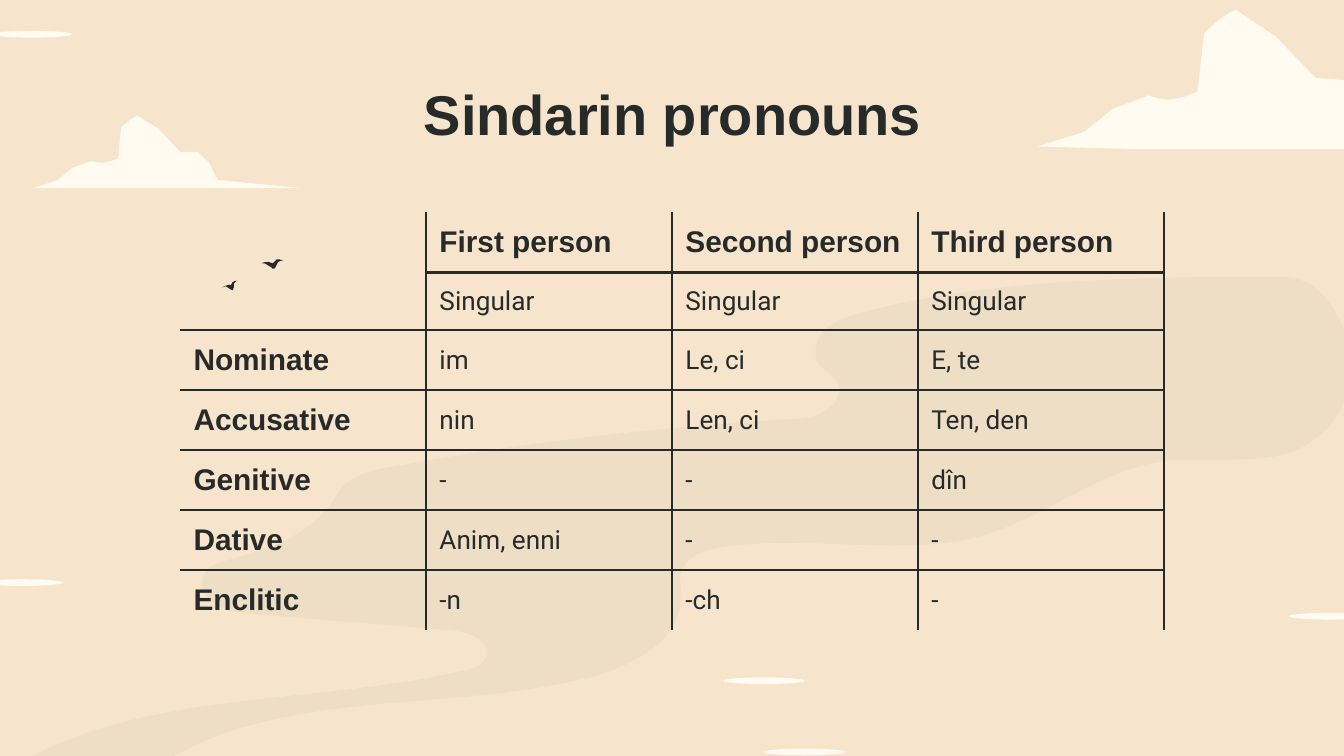
from dataclasses import dataclass

from lxml.etree import SubElement
from pptx import Presentation
from pptx.dml.color import RGBColor
from pptx.enum.shapes import MSO_SHAPE
from pptx.enum.text import MSO_ANCHOR, PP_ALIGN
from pptx.oxml.ns import qn
from pptx.util import Inches, Pt


@dataclass(frozen=True)
class Theme:
    background: str = "F6E5CC"
    river: str = "EEDEC5"
    cloud: str = "FFFBF0"
    ink: str = "262A29"
    heading_font: str = "Arial"
    body_font: str = "Roboto"
    title_size: float = 30
    heading_size: float = 16
    body_size: float = 14
    border: float = 1.5


THEME = Theme()

RIVER = [
    (9.52, 2.06), (8.52, 2.06, 7.39, 2.07, 6.43, 2.32),
    (6.33, 2.35, 6.22, 2.38, 6.14, 2.45), (6.07, 2.52, 6.04, 2.64, 6.1, 2.72),
    (6.15, 2.78, 6.25, 2.8, 6.24, 2.91), (6.24, 2.97, 6.2, 3.02, 6.15, 3.05),
    (6.07, 3.11, 5.96, 3.12, 5.86, 3.12), (4.88, 3.18, 3.91, 3.29, 2.94, 3.47),
    (2.81, 3.49, 2.67, 3.52, 2.57, 3.6), (2.55, 3.62, 2.53, 3.65, 2.51, 3.68),
    (2.39, 3.88, 2.17, 4.03, 1.93, 4.1), (1.69, 4.17),
    (1.61, 4.19, 1.53, 4.22, 1.51, 4.3), (1.49, 4.36, 1.52, 4.42, 1.56, 4.46),
    (1.65, 4.55, 1.77, 4.56, 1.9, 4.57), (2.38, 4.61, 2.87, 4.65, 3.35, 4.69),
    (3.48, 4.7, 3.65, 4.76, 3.62, 4.88), (3.6, 4.93, 3.56, 4.97, 3.5, 4.98),
    (2.36, 5.26, 1.06, 5.11, 0.07, 5.72), (1.21, 5.67),
    (2.12, 5.11, 3.34, 5.31, 4.4, 5.04), (4.72, 4.95, 5.07, 4.76, 5.07, 4.45),
    (5.07, 4.39, 5.05, 4.32, 5.07, 4.26), (5.1, 4.14, 5.25, 4.09, 5.38, 4.07),
    (5.53, 4.05, 5.68, 4.04, 5.83, 4.04), (6.1, 4.04, 6.37, 4.06, 6.63, 4.06),
    (6.87, 4.06, 7.1, 4.05, 7.33, 3.98), (7.79, 3.84, 8.18, 3.5, 8.66, 3.43),
    (8.74, 3.42, 8.81, 3.42, 8.89, 3.42), (9.18, 3.42),
    (9.32, 3.42, 9.46, 3.41, 9.6, 3.37), (9.87, 3.27, 10.07, 3, 10.06, 2.72),
    (10.05, 2.45, 9.85, 2.06, 9.56, 2.06),
]
LEFT_CLOUD = [
    (1.02, 0.86), (0.95, 0.9, 0.9, 0.95, 0.9, 0.95), (0.88, 1.18),
    (0.83, 1.2, 0.79, 1.21, 0.76, 1.21), (0.71, 1.21, 0.68, 1.2, 0.68, 1.2),
    (0.54, 1.25), (0.43, 1.34), (0.25, 1.4), (0.64, 1.4), (2.24, 1.4),
    (1.62, 1.34), (1.56, 1.22), (1.47, 1.13), (1.34, 1.13), (1.18, 0.96),
]
RIGHT_CLOUD = [
    (9.19, 0.07), (9.05, 0.15, 8.96, 0.25, 8.96, 0.25), (8.91, 0.68),
    (8.83, 0.72, 8.76, 0.74, 8.69, 0.74), (8.61, 0.74, 8.55, 0.71, 8.55, 0.71),
    (8.28, 0.81), (8.07, 0.98), (7.72, 1.09), (8.47, 1.11), (11.52, 1.11),
    (10.32, 1), (10.22, 0.76), (10.04, 0.6), (9.79, 0.58), (9.49, 0.27),
]
LOWER_BIRD = [
    (1.75, 2.09), (1.73, 2.1), (1.72, 2.12), (1.71, 2.12),
    (1.69, 2.12, 1.67, 2.13, 1.65, 2.14), (1.68, 2.13), (1.71, 2.15),
    (1.73, 2.16), (1.74, 2.14), (1.74, 2.11), (1.76, 2.09), (1.77, 2.09),
]
UPPER_BIRD = [
    (2.08, 1.93), (2.06, 1.93), (2.03, 1.96), (2, 1.95),
    (1.98, 1.95, 1.96, 1.95, 1.95, 1.96), (1.97, 1.96), (2.02, 1.99),
    (2.03, 2), (2.04, 2), (2.05, 1.99), (2.07, 1.95), (2.09, 1.94), (2.11, 1.94),
]
STREAKS = [(5.38, 5.04), (9.59, 4.56), (5.68, 5.57), (-0.07, 0.23), (-0.14, 4.31)]

PRONOUNS = [
    ("", "First person", "Second person", "Third person"),
    ("", "Singular", "Singular", "Singular"),
    ("Nominate", "im", "Le, ci", "E, te"),
    ("Accusative", "nin", "Len, ci", "Ten, den"),
    ("Genitive", "-", "-", "dîn"),
    ("Dative", "Anim, enni", "-", "-"),
    ("Enclitic", "-n", "-ch", "-"),
]


def paint(sp, color):
    """Give a shape a flat fill with no line or shadow."""
    sp.shadow.inherit = False
    sp.fill.solid()
    sp.fill.fore_color.rgb = RGBColor.from_string(color)
    sp.line.fill.background()


def trace(steps, pieces=10):
    """Turn pairs (lines) and sextuples (cubic curves) into a list of points."""
    points = [steps[0]]
    for step in steps[1:]:
        if len(step) == 2:
            points.append(step)
            continue
        nodes = (points[-1], step[:2], step[2:4], step[4:])
        for i in range(1, pieces + 1):
            t = i / pieces
            weights = ((1 - t) ** 3, 3 * t * (1 - t) ** 2, 3 * t**2 * (1 - t), t**3)
            points.append(tuple(sum(w * n[k] for w, n in zip(weights, nodes)) for k in (0, 1)))
    return points


def add_outline(s, steps, color):
    """Draw a closed freeform."""
    start, *rest = [(Inches(x), Inches(y)) for x, y in trace(steps)]
    builder = s.shapes.build_freeform(*start)
    builder.add_line_segments(rest, close=True)
    paint(builder.convert_to_shape(), color)


def add_streak(s, left, top):
    """Draw a thin oval wisp of cloud."""
    sp = s.shapes.add_shape(MSO_SHAPE.OVAL, Inches(left), Inches(top), Inches(0.61), Inches(0.05))
    paint(sp, THEME.cloud)


def add_run(p, text, font, size, bold=False):
    """Append a styled run to a paragraph."""
    r = p.add_run()
    r.text = text
    r.font.name = font
    r.font.size = Pt(size)
    r.font.bold = bold
    r.font.color.rgb = RGBColor.from_string(THEME.ink)


def add_title(s, text):
    """Add the centred slide title."""
    tf = s.shapes.add_textbox(Inches(0.79), Inches(0.49), Inches(8.43), Inches(0.63)).text_frame
    tf.word_wrap = True
    tf.margin_top = tf.margin_bottom = Inches(0.1)
    p = tf.paragraphs[0]
    p.alignment = PP_ALIGN.CENTER
    add_run(p, text, THEME.heading_font, THEME.title_size, True)


def set_borders(cell, sides):
    """Draw the named cell sides and hide the others."""
    for side in "LRTB":
        ln = SubElement(cell._tc.get_or_add_tcPr(), qn(f"a:ln{side}"), w=str(Pt(THEME.border)))
        if side in sides:
            fill = SubElement(ln, qn("a:solidFill"))
            SubElement(fill, qn("a:srgbClr"), val=THEME.ink)
        else:
            SubElement(ln, qn("a:noFill"))


def cell_sides(row, col):
    """Tell which sides of a table cell carry a line."""
    top = row > 1 or (row == 1 and col > 0)
    bottom = row < len(PRONOUNS) - 1 and (row, col) != (0, 0)
    return "R" + "L" * (col > 0) + "T" * top + "B" * bottom


def fill_cell(cell, text, row, col):
    """Set the text, margins, borders and fill of one cell."""
    cell.vertical_anchor = MSO_ANCHOR.MIDDLE
    cell.margin_left = cell.margin_right = Inches(0.1)
    cell.margin_top = cell.margin_bottom = Inches(0.09 if text else 0)
    set_borders(cell, cell_sides(row, col))
    cell.fill.background()
    p = cell.text_frame.paragraphs[0]
    if text and (row == 0 or col == 0):
        add_run(p, text, THEME.heading_font, THEME.heading_size, True)
    elif text:
        add_run(p, text, THEME.body_font, THEME.body_size)


def add_pronoun_table(s):
    """Add the table of pronouns by case and person."""
    rows, cols = len(PRONOUNS), len(PRONOUNS[0])
    frame = s.shapes.add_table(rows, cols, Inches(1.34), Inches(1.58), Inches(1.83 * cols), Inches(2.77))
    table = frame.table
    table.first_row = table.horz_banding = False
    for i, texts in enumerate(PRONOUNS):
        table.rows[i].height = Inches(0.43 if i == 1 else 0.39)
        for j, text in enumerate(texts):
            fill_cell(table.cell(i, j), text, i, j)


def main():
    """Build and save the slide."""
    prs = Presentation()
    prs.slide_width = Inches(10)
    prs.slide_height = Inches(10 * 9 / 16)
    s = prs.slides.add_slide(prs.slide_layouts[6])
    s.background.fill.solid()
    s.background.fill.fore_color.rgb = RGBColor.from_string(THEME.background)
    add_outline(s, RIVER, THEME.river)
    for cloud in (LEFT_CLOUD, RIGHT_CLOUD):
        add_outline(s, cloud, THEME.cloud)
    for left, top in STREAKS:
        add_streak(s, left, top)
    for bird in (LOWER_BIRD, UPPER_BIRD):
        add_outline(s, bird, THEME.ink)
    add_title(s, "Sindarin pronouns")
    add_pronoun_table(s)
    prs.save("out.pptx")


if __name__ == "__main__":
    main()
